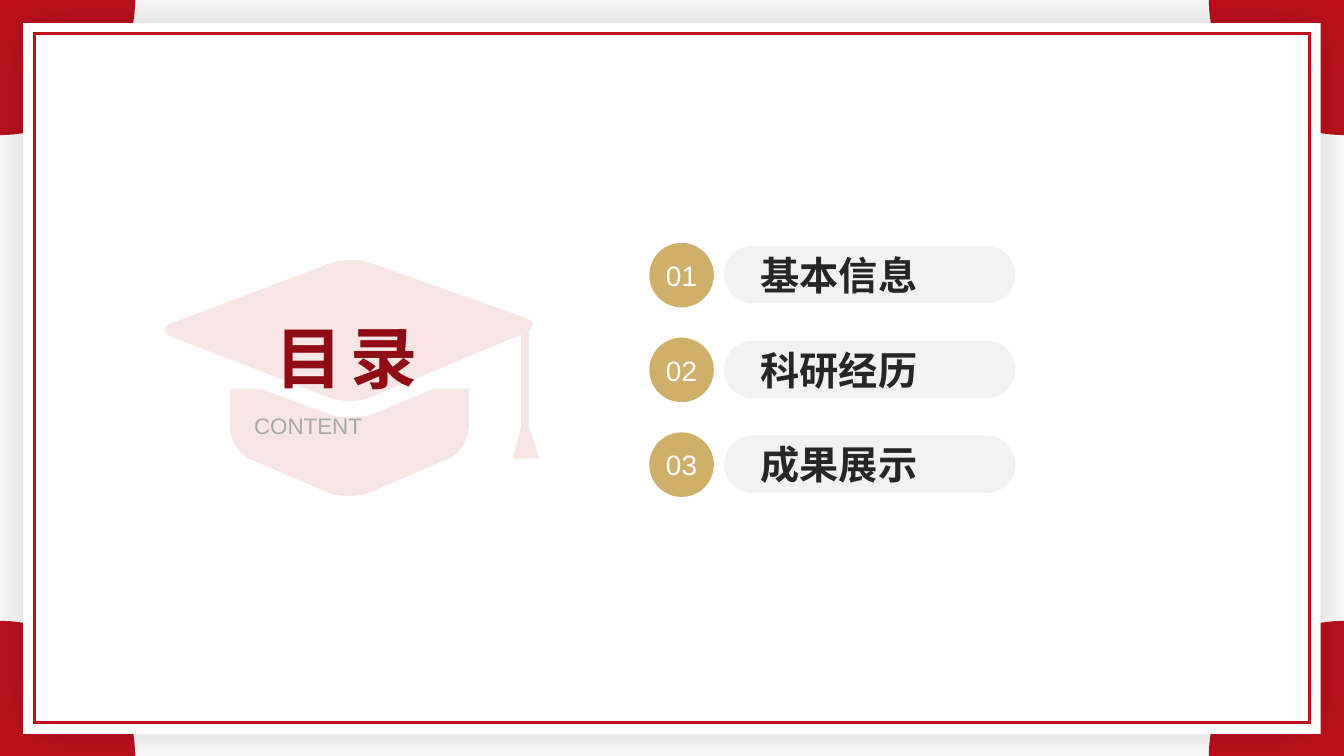
from dataclasses import dataclass
from itertools import chain
from typing import NamedTuple

from lxml.etree import SubElement
from pptx import Presentation
from pptx.dml.color import RGBColor
from pptx.enum.lang import MSO_LANGUAGE_ID
from pptx.enum.shapes import MSO_SHAPE
from pptx.enum.text import MSO_ANCHOR, PP_ALIGN
from pptx.oxml.ns import qn
from pptx.shapes.autoshape import Shape
from pptx.shapes.shapetree import SlideShapes
from pptx.text.text import TextFrame
from pptx.util import Emu, Pt

EMU_PER_PX = 9144  # 100 px to the inch
SLIDE_WIDTH, SLIDE_HEIGHT = 1333, 750


@dataclass(frozen=True)
class Theme:
    font: str = "Arial"
    red: str = "BE101C"
    dark_red: str = "8F0C15"
    gold: str = "CFAF6A"
    pill: str = "F2F2F2"
    ink: str = "262626"
    grey: str = "A6A6A6"
    white: str = "FFFFFF"
    black: str = "000000"
    title_size: int = 48
    item_size: int = 28
    number_size: int = 20
    subtitle_size: int = 16


THEME = Theme()


class Box(NamedTuple):
    left: int
    top: int
    width: int
    height: int


class TextStyle(NamedTuple):
    size: int
    color: str
    bold: bool = False
    alignment: PP_ALIGN = PP_ALIGN.LEFT
    spacing: int = 0


class Contour(NamedTuple):
    """A closed outline: each step is a line end (x, y) or a cubic curve (six numbers)."""
    start: tuple[int, int]
    steps: list[tuple[int, ...]]


TITLE = TextStyle(THEME.title_size, THEME.dark_red, True, PP_ALIGN.JUSTIFY, 6)
SUBTITLE = TextStyle(THEME.subtitle_size, THEME.grey, False, PP_ALIGN.JUSTIFY)
ITEM = TextStyle(THEME.item_size, THEME.ink, True)
NUMBER = TextStyle(THEME.number_size, THEME.white, False, PP_ALIGN.CENTER)

ITEMS = ["基本信息", "科研经历", "成果展示"]
ITEM_PITCH = 94

CAP = [
    Contour((228, 386), [
        (259, 386), (324, 410), (332, 414, 341, 414, 347, 414),
        (356, 414, 365, 413, 372, 410), (430, 386), (465, 386), (465, 424),
        (465, 436, 456, 450, 445, 455), (366, 489), (361, 491, 353, 492, 346, 492),
        (339, 492, 332, 491, 326, 489), (247, 455), (236, 450, 228, 436, 228, 424)]),
    Contour((348, 258), [
        (355, 258, 363, 259, 368, 261), (520, 315), (530, 318, 531, 324, 525, 328),
        (525, 424), (535, 455), (508, 455), (517, 424), (517, 332), (368, 394),
        (357, 399, 339, 399, 328, 395), (172, 335), (166, 333, 163, 330, 163, 328),
        (163, 325, 166, 322, 172, 320), (328, 261), (333, 259, 341, 258, 348, 258)]),
]


def px(length: int) -> Emu:
    return Emu(length * EMU_PER_PX)


def paint(shape: Shape, color: str) -> None:
    shape.shadow.inherit = False
    shape.fill.solid()
    shape.fill.fore_color.rgb = RGBColor.from_string(color)
    shape.line.fill.background()


def bend(shape: Shape, contours: list[Contour]) -> None:
    """Turn the line segments that stand for curves into cubic curves."""
    segments = list(shape._element.iter(qn("a:lnTo")))
    steps = chain.from_iterable(contour.steps for contour in contours)
    for segment, step in zip(segments, steps):
        if len(step) == 6:
            segment.tag = qn("a:cubicBezTo")
            segment.remove(segment[0])
            for x, y in zip(step[::2], step[1::2]):
                SubElement(segment, qn("a:pt"), x=str(px(x) - shape.left),
                           y=str(px(y) - shape.top))


def add_outline(shapes: SlideShapes, contours: list[Contour], color: str) -> Shape:
    first = contours[0]
    builder = shapes.build_freeform(*map(px, first.start))
    for contour in contours:
        if contour is not first:
            builder.move_to(*map(px, contour.start))
        builder.add_line_segments([tuple(map(px, step[-2:])) for step in contour.steps])
    shape = builder.convert_to_shape()
    bend(shape, contours)
    paint(shape, color)
    return shape


def add_panel(shapes: SlideShapes, kind: MSO_SHAPE, box: Box, color: str) -> Shape:
    shape = shapes.add_shape(kind, *map(px, box))
    paint(shape, color)
    return shape


def write(frame: TextFrame, text: str, style: TextStyle,
          insets: tuple[int, int, int, int] = (0, 0, 0, 0)) -> None:
    frame.word_wrap = True
    (frame.margin_left, frame.margin_top,
     frame.margin_right, frame.margin_bottom) = map(px, insets)
    paragraph = frame.paragraphs[0]
    paragraph.text = text
    paragraph.alignment = style.alignment
    font = paragraph.font
    font.name, font.size, font.bold = THEME.font, Pt(style.size), style.bold
    font.color.rgb = RGBColor.from_string(style.color)
    font.language_id = MSO_LANGUAGE_ID.SIMPLIFIED_CHINESE
    if style.spacing:
        paragraph._p.pPr.find(qn("a:defRPr")).set("spc", str(style.spacing * 100))


def add_label(shapes: SlideShapes, box: Box, text: str, style: TextStyle) -> None:
    write(shapes.add_textbox(*map(px, box)).text_frame, text, style)


def add_corner(shapes: SlideShapes, at_right: bool, at_bottom: bool) -> None:
    def mirror(*values: int) -> tuple[int, ...]:
        return tuple(
            (SLIDE_HEIGHT - value if at_bottom else value) if index % 2
            else (SLIDE_WIDTH - value if at_right else value)
            for index, value in enumerate(values))

    quarter = Contour(mirror(0, 0), [mirror(134, 0), mirror(134, 74, 74, 134, 0, 134)])
    add_outline(shapes, [quarter], THEME.red)


def add_glow(shape: Shape) -> None:
    """Give the shape a soft black shadow on all sides."""
    effects = shape._element.spPr.find(qn("a:effectLst"))
    shadow = SubElement(effects, qn("a:outerShdw"), blurRad=str(Pt(40)), dist="0",
                        dir="0", algn="ctr", rotWithShape="0")
    color = SubElement(shadow, qn("a:srgbClr"), val=THEME.black)
    SubElement(color, qn("a:alpha"), val="18000")


def add_frame(shapes: SlideShapes) -> None:
    add_glow(add_panel(shapes, MSO_SHAPE.RECTANGLE, Box(23, 23, 1287, 705), THEME.white))
    border = add_panel(shapes, MSO_SHAPE.ROUNDED_RECTANGLE, Box(34, 33, 1265, 684), THEME.white)
    border.adjustments[0] = 0
    border.fill.background()
    border.line.color.rgb = RGBColor.from_string(THEME.red)
    border.line.width = Pt(2)
    SubElement(border._element.spPr.find(qn("a:ln")), qn("a:miter"), lim="800000")


def add_item(shapes: SlideShapes, index: int, text: str) -> None:
    offset = index * ITEM_PITCH
    pill = Box(718, 244 + offset, 289, 57)
    badge = Box(644, 241 + offset, 64, 64)
    for box, color, words, style, insets in (
            (pill, THEME.pill, text, ITEM, (28, 5, 10, 5)),
            (badge, THEME.gold, f"{index + 1:02}", NUMBER, (0, 0, 0, 0))):
        shape = add_panel(shapes, MSO_SHAPE.ROUNDED_RECTANGLE, box, color)
        shape.adjustments[0] = 0.5
        shape.text_frame.vertical_anchor = MSO_ANCHOR.MIDDLE
        write(shape.text_frame, words, style, insets)


def main() -> None:
    presentation = Presentation()
    presentation.slide_width, presentation.slide_height = px(SLIDE_WIDTH), px(SLIDE_HEIGHT)
    shapes = presentation.slides.add_slide(presentation.slide_layouts[6]).shapes
    for at_bottom in (False, True):
        for at_right in (False, True):
            add_corner(shapes, at_right, at_bottom)
    add_frame(shapes)
    cap = add_outline(shapes, CAP, THEME.red)
    SubElement(cap._element.spPr.find(f".//{qn('a:srgbClr')}"), qn("a:alpha"), val="10000")
    add_label(shapes, Box(273, 314, 153, 81), "目录", TITLE)
    add_label(shapes, Box(252, 409, 193, 27), "CONTENT", SUBTITLE)
    for index, text in enumerate(ITEMS):
        add_item(shapes, index, text)
    presentation.save("out.pptx")


if __name__ == "__main__":
    main()
